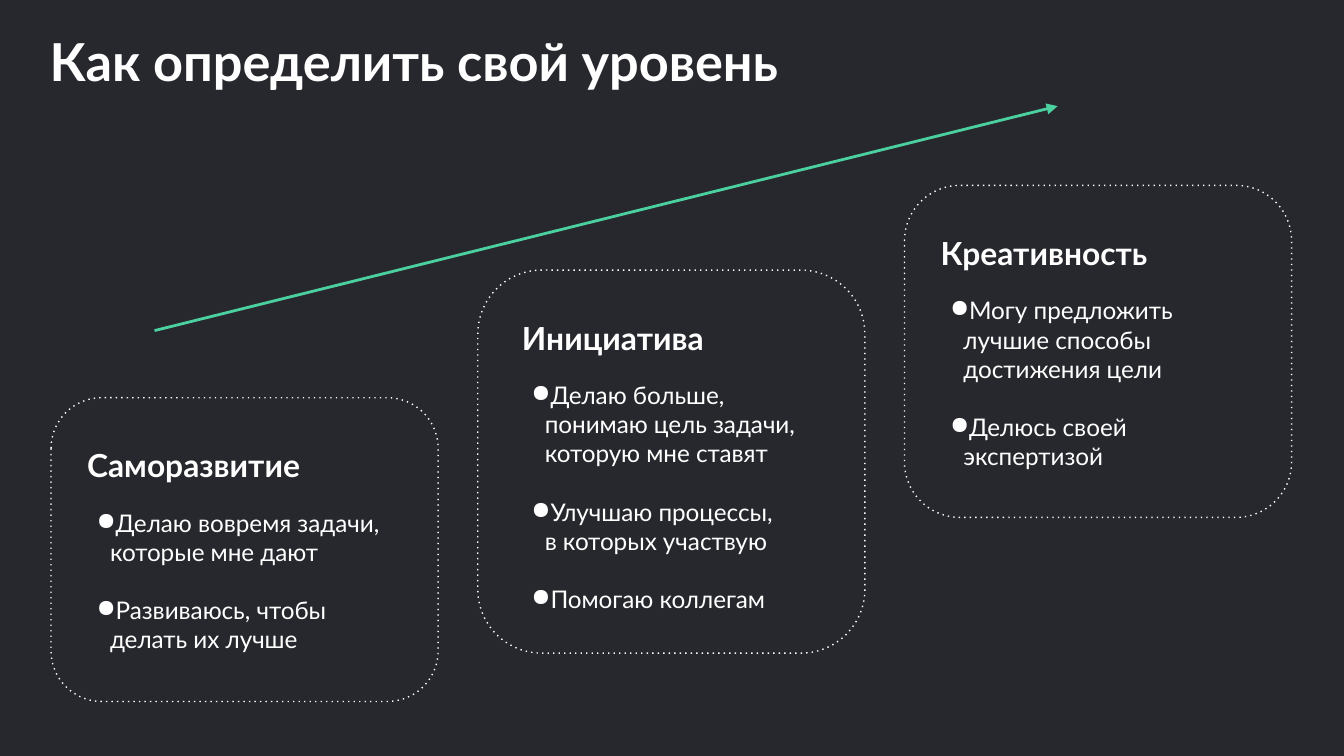
from lxml import etree
from pptx import Presentation
from pptx.dml.color import RGBColor
from pptx.enum import shapes, text
from pptx.oxml.ns import qn
from pptx.util import Inches, Pt

COLORS = {"back": "27282D", "ink": "FFFFFF", "arrow": "4BD0A0"}
CELL = 0.1  # grid of 100 columns by 56.25 rows
COLUMNS, ROWS = 100, 56.25
CARD_LEFT, CARD_STEP, CARD_WIDTH = 3.8, 31.75, 28.8
TITLE = {"size": Pt(28), "bold": True}
HEADING = {"size": Pt(17), "bold": True}
BODY = {"size": Pt(13), "bold": False}
BULLET_GAP = Pt(15.6)

# top row, height, heading inset, bullet block height, heading, bullets
LEVELS = [
    (29.6, 22.6, 1.7, 13, "Саморазвитие",
     ["Делаю вовремя задачи, которые мне дают",
      "Развиваюсь, чтобы делать их лучше"]),
    (20.1, 28.5, 2.3, 19.5, "Инициатива",
     ["Делаю больше, понимаю цель задачи, которую мне ставят",
      "Улучшаю процессы,\nв которых участвую",
      "Помогаю коллегам"]),
    (13.8, 24.7, 1.7, 15.2, "Креативность",
     ["Могу предложить лучшие способы достижения цели",
      "Делюсь своей экспертизой"]),
]


def cells(*counts):
    """Turn counts of grid cells into lengths."""
    return [Inches(count * CELL) for count in counts]


def color(name):
    """Return the named colour."""
    return RGBColor.from_string(COLORS[name])


def assign(target, values):
    """Set every attribute in a dict of values."""
    for name, value in values.items():
        setattr(target, name, value)


def add_text(page, place, lines, style, inset=0.1):
    """Add a wrapping text box and return its paragraphs."""
    frame = page.shapes.add_textbox(*cells(*place)).text_frame
    margins = {f"margin_{side}": Inches(inset)
               for side in ("left", "top", "right", "bottom")}
    assign(frame, {**margins, "word_wrap": True,
                   "vertical_anchor": text.MSO_ANCHOR.TOP})
    for index, line in enumerate(lines):
        para = frame.add_paragraph() if index else frame.paragraphs[0]
        para.text = line
        for span in para.runs:
            assign(span.font, {"name": "Lato", **style})
            span.font.color.rgb = color("ink")
        for line_break in para._p.findall(qn("a:br")):
            etree.SubElement(line_break, qn("a:rPr"),
                             sz=str(style["size"].centipoints))
    return frame.paragraphs


def add_bullets(page, place, lines):
    """Add a bulleted list with a line's gap between items."""
    for index, para in enumerate(add_text(page, place, lines, BODY)):
        para.space_before = BULLET_GAP if index else Pt(0)
        props = para._p.get_or_add_pPr()
        props.set("marL", str(Inches(0.1)))
        props.set("indent", str(Inches(-0.16)))
        tint = etree.SubElement(props, qn("a:buClr"))
        etree.SubElement(tint, qn("a:srgbClr"), val=COLORS["ink"])
        etree.SubElement(props, qn("a:buChar"), char="●")


def add_card(page, place):
    """Add a rounded card with a dotted outline."""
    card = page.shapes.add_shape(
        shapes.MSO_SHAPE.ROUNDED_RECTANGLE, *cells(*place))
    card.shadow.inherit = False
    card.fill.background()
    card.line.color.rgb = color("ink")
    card.line.width = Pt(0.75)
    outline = card._element.spPr.find(qn("a:ln"))
    etree.SubElement(outline, qn("a:prstDash"), val="dot")


def add_level(page, column, level):
    """Add one level: card, heading and bullets."""
    top, height, inset, list_height, heading, bullets = level
    left = CARD_LEFT + column * CARD_STEP
    add_card(page, (left, top, CARD_WIDTH, height))
    add_text(page, (left + inset, top + 2.6, 21.7, 4.9), [heading], HEADING)
    add_bullets(page, (left + inset + 0.7, top + 7.2, 24.2, list_height),
                bullets)


def add_arrow(page, start, end):
    """Add a straight arrow between two grid points."""
    arrow = page.shapes.add_connector(
        shapes.MSO_CONNECTOR.STRAIGHT, *cells(*start, *end))
    arrow.line.color.rgb = color("arrow")
    arrow.line.width = Pt(1.5)
    props = arrow._element.spPr
    etree.SubElement(props.find(qn("a:ln")), qn("a:tailEnd"), type="triangle")
    etree.SubElement(props, qn("a:effectLst"))


def main():
    """Build the slide and save it."""
    deck = Presentation()
    deck.slide_width, deck.slide_height = cells(COLUMNS, ROWS)
    page = deck.slides.add_slide(deck.slide_layouts[6])
    page.background.fill.solid()
    page.background.fill.fore_color.rgb = color("back")
    title = add_text(page, (3.7, 2.7, 93.2, 4.2),
                     ["Как определить свой уровень"], TITLE, inset=0)
    title[0].line_spacing = 0.9
    for column, level in enumerate(LEVELS):
        add_level(page, column, level)
    add_arrow(page, (11.5, 24.6), (78.7, 7.9))
    deck.save("out.pptx")


if __name__ == "__main__":
    main()
